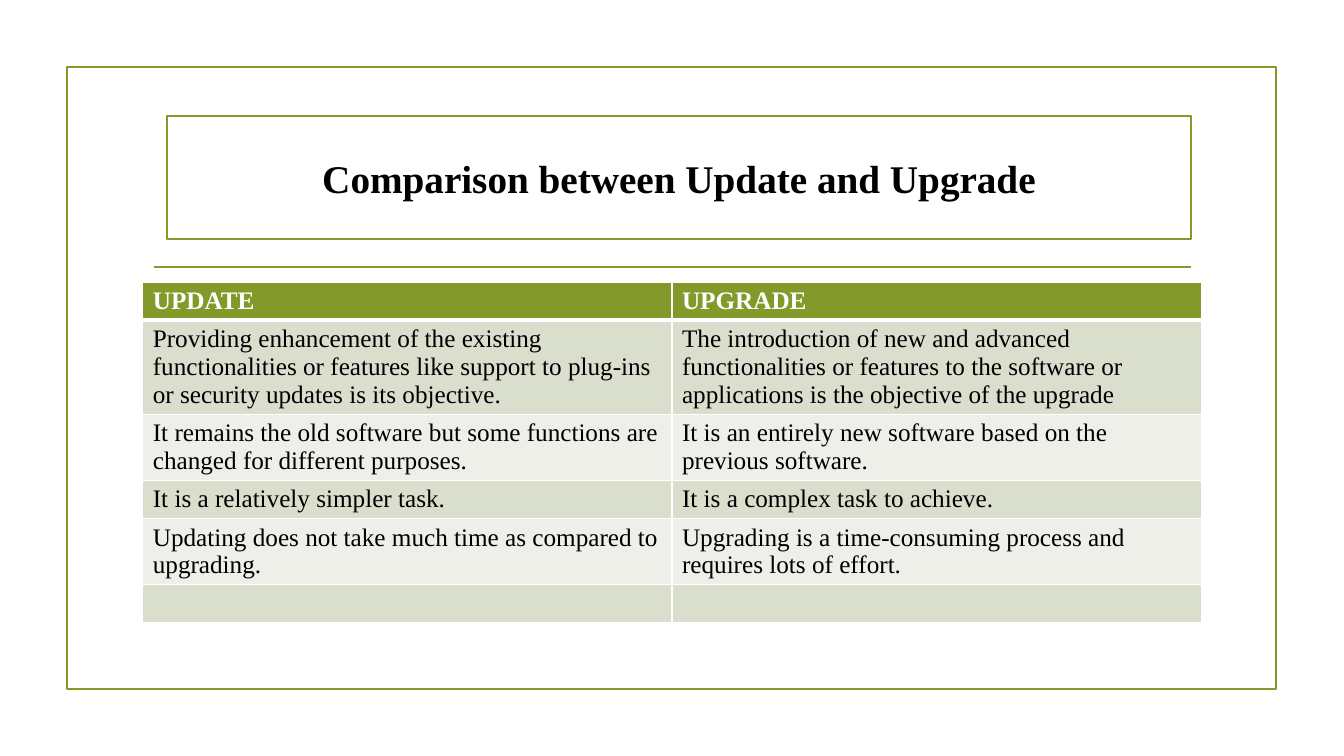
from lxml.etree import SubElement
from pptx import Presentation
from pptx.dml.color import RGBColor
from pptx.enum.shapes import MSO_CONNECTOR, MSO_SHAPE
from pptx.enum.text import MSO_ANCHOR, PP_ALIGN
from pptx.oxml import parse_xml
from pptx.oxml.ns import nsdecls, qn
from pptx.util import Pt

GREEN, WHITE, BLACK = "83992A", "FFFFFF", "000000"
BANDS = ["D9DECD", "EDEFE8"]
LINE, PAD = 20, 7.2

ROWS = [
    (1, "UPDATE", "UPGRADE"),
    (3, "Providing enhancement of the existing functionalities or features like "
        "support to plug-ins or security updates is its objective.",
     "The introduction of new and advanced functionalities or features to the "
     "software or applications is the objective of the upgrade"),
    (2, "It remains the old software but some functions are changed for different purposes.",
     "It is an entirely new software based on the previous software."),
    (1, "It is a relatively simpler task.", "It is a complex task to achieve."),
    (2, "Updating does not take much time as compared to upgrading.",
     "Upgrading is a time-consuming process and requires lots of effort."),
    (1, "", ""),
]


def color(code):
    return RGBColor.from_string(code)


class Board:
    def __init__(self, slide, face="Times New Roman", edge=1.25):
        self.slide, self.face, self.edge = slide, face, edge

    def style(self, para, size, ink, bold):
        font = para.font
        font.name, font.size, font.bold = self.face, Pt(size), bold
        font.color.rgb = color(ink)

    def trace(self, line):
        line.color.rgb = color(GREEN)
        line.width = Pt(self.edge)

    def box(self, x, y, w, h, fill=None):
        shape = self.slide.shapes.add_shape(
            MSO_SHAPE.RECTANGLE, Pt(x), Pt(y), Pt(w), Pt(h))
        shape.shadow.inherit = False
        if fill:
            shape.fill.solid()
            shape.fill.fore_color.rgb = color(fill)
        else:
            shape.fill.background()
        self.trace(shape.line)
        return shape

    def title(self, x, y, w, h, text):
        frame = self.box(x, y, w, h, WHITE).text_frame
        frame.word_wrap = True
        frame.vertical_anchor = MSO_ANCHOR.MIDDLE
        para = frame.paragraphs[0]
        para.text = text
        para.alignment = PP_ALIGN.CENTER
        self.style(para, 28, BLACK, True)

    def rule(self, x, y, w):
        line = self.slide.shapes.add_connector(
            MSO_CONNECTOR.STRAIGHT, Pt(x), Pt(y), Pt(x + w), Pt(y))
        self.trace(line.line)
        SubElement(line._element.spPr, qn("a:effectLst"))

    def border(self, cell, widths):
        props = cell._tc.get_or_add_tcPr()
        for spot, (side, width) in enumerate(zip("LRTB", widths)):
            props.insert(spot, parse_xml(
                f'<a:ln{side} {nsdecls("a")} w="{Pt(width)}"><a:solidFill>'
                f'<a:srgbClr val="{WHITE}"/></a:solidFill></a:ln{side}>'))

    def table(self, x, y, w, rows):
        tall = [PAD + LINE * count for count, *_ in rows]
        table = self.slide.shapes.add_table(
            len(rows), 2, Pt(x), Pt(y), Pt(w), Pt(sum(tall))).table
        for r, (_, *texts) in enumerate(rows):
            table.rows[r].height = Pt(tall[r])
            head = r == 0
            for c, text in enumerate(texts):
                cell = table.cell(r, c)
                cell.fill.solid()
                cell.fill.fore_color.rgb = color(GREEN if head else BANDS[(r - 1) % 2])
                self.border(cell, (1, 1, 3 if r == 1 else 1, 3 if head else 1))
                para = cell.text_frame.paragraphs[0]
                if text:
                    para.text = text
                self.style(para, 18, WHITE if head else BLACK, head)


def main():
    deck = Presentation()
    deck.slide_width, deck.slide_height = Pt(960), Pt(540)
    board = Board(deck.slides.add_slide(deck.slide_layouts[6]))
    board.box(47.7, 48, 864, 444.3)
    board.rule(110.2, 190.8, 740.2)
    board.table(102, 201.6, 756, ROWS)
    board.title(119.2, 82.8, 731.5, 88.2, "Comparison between Update and Upgrade")
    deck.save("out.pptx")


if __name__ == "__main__":
    main()
